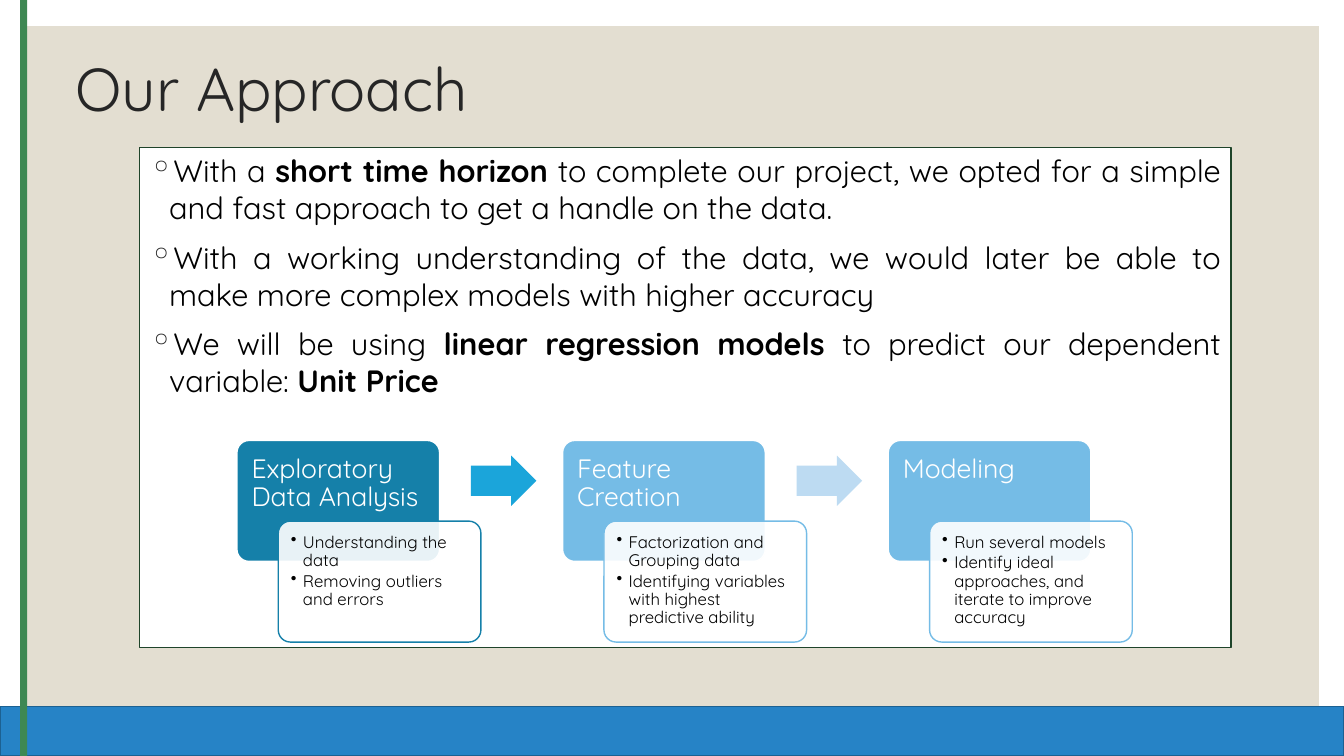
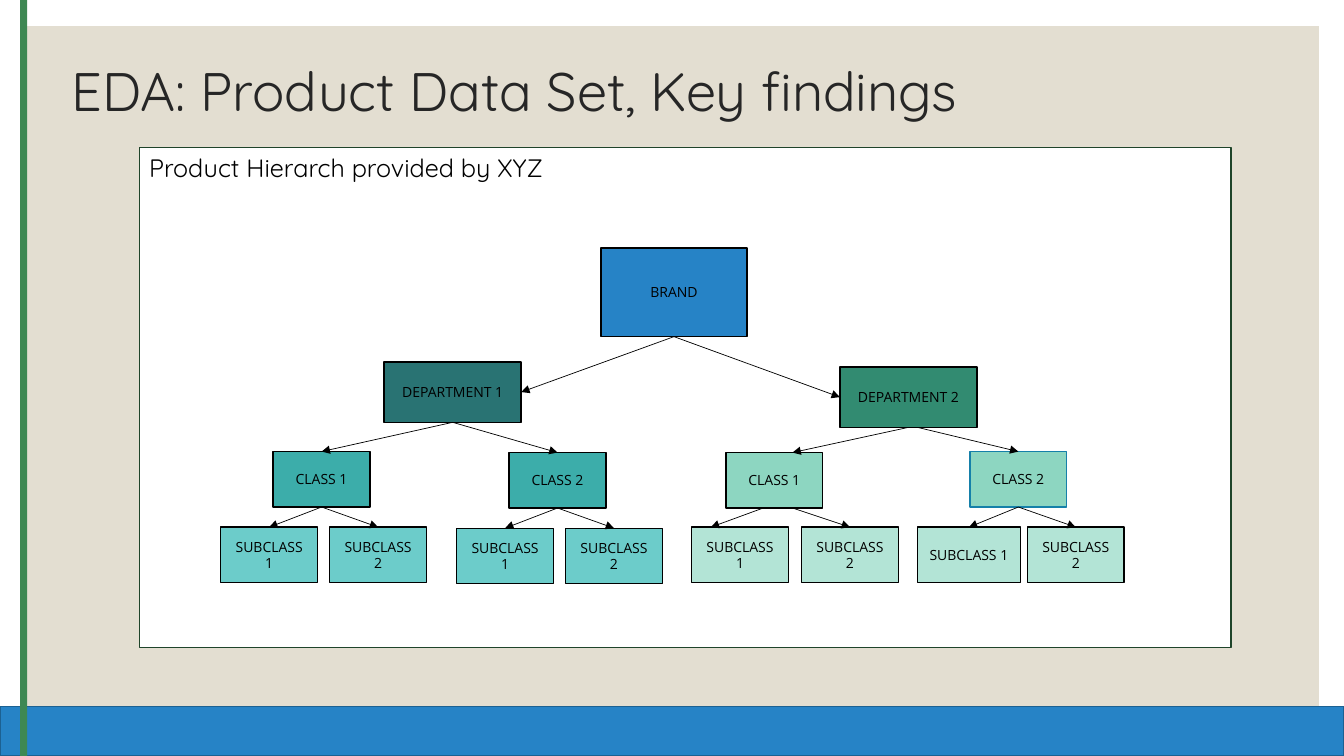
from dataclasses import dataclass

from lxml import etree
from pptx import Presentation
from pptx import util as u
from pptx.dml import color
from pptx.enum import shapes, text
from pptx.oxml import ns

HEADING_FONT = "Quicksand"
NODE_FONT = "Open Sans"
BLACK, WHITE, INK = "000000", "FFFFFF", "262626"
BLUE, TEAL, SKY = "2683C6", "1580A9", "75BCE6"
RECTANGLE = shapes.MSO_SHAPE.RECTANGLE
ROUNDED = shapes.MSO_SHAPE.ROUNDED_RECTANGLE
ARROW = shapes.MSO_SHAPE.RIGHT_ARROW
LEFT, CENTER, JUSTIFY = text.PP_ALIGN.LEFT, text.PP_ALIGN.CENTER, text.PP_ALIGN.JUSTIFY
TOP, MIDDLE = text.MSO_ANCHOR.TOP, text.MSO_ANCHOR.MIDDLE


@dataclass(frozen=True)
class Frame:
    left: float
    top: float
    width: float
    height: float

    @property
    def center(self) -> float:
        return self.left + self.width / 2

    @property
    def middle(self) -> float:
        return self.top + self.height / 2

    @property
    def bottom(self) -> float:
        return self.top + self.height

    @property
    def right(self) -> float:
        return self.left + self.width

    def lengths(self) -> tuple:
        return tuple(u.Inches(n) for n in (self.left, self.top, self.width, self.height))


@dataclass(frozen=True)
class Band:
    frame: Frame
    fill: str
    line: str | None = None


@dataclass(frozen=True)
class Style:
    size: float
    color: str = BLACK
    font: str = HEADING_FONT
    align: text.PP_ALIGN = LEFT
    line_spacing: float = 1.0
    before: float = 0
    after: float = 0
    bullet: str = ""
    bullet_color: str = BLACK
    indent: float = 0


@dataclass(frozen=True)
class Step:
    title: str
    details: tuple[str, ...]
    color: str
    arrow: str | None = None


@dataclass(frozen=True)
class Node:
    label: str
    frame: Frame
    fill: str
    children: tuple["Node", ...] = ()
    line: str = BLACK
    enters_side: bool = False
    start_shift: float = 0
    end_shift: float = 0


BANDS = (
    Band(Frame(0.26, 0.26, 12.82, 6.98), "E3DED1"),
    Band(Frame(0, 7.01, 13.33, 0.49), BLUE, "1C6192"),
    Band(Frame(0.2, 0, 0.07, 7.5), "3E8853"),
)
PANEL = Frame(1.38, 1.46, 10.83, 4.96)
APPROACH = Style(22, align=JUSTIFY, before=9, bullet="\u25e6", bullet_color=INK, indent=0.2)
CAPTION = Style(18, before=9)
STEP_TITLE = Style(19, WHITE, line_spacing=0.9)
STEP_DETAIL = Style(12, line_spacing=0.9, after=1.8, bullet="\u2022", indent=0.12)
NODE_LABEL = Style(10, font=NODE_FONT, align=CENTER)


def rgb(value: str) -> color.RGBColor:
    return color.RGBColor.from_string(value)


def add_box(slide, kind, frame: Frame, fill: str, line: str | None = None,
            line_width: float = 1):
    shape = slide.shapes.add_shape(kind, *frame.lengths())
    shape.shadow.inherit = False
    shape.fill.solid()
    shape.fill.fore_color.rgb = rgb(fill)
    if line:
        shape.line.color.rgb = rgb(line)
        shape.line.width = u.Pt(line_width)
    else:
        shape.line.fill.background()
    return shape


def set_opacity(shape, percent: int) -> None:
    fill = shape.fill._xPr.find(ns.qn("a:solidFill"))
    etree.SubElement(fill[0], ns.qn("a:alpha")).set("val", str(percent * 1000))


def add_bullet(paragraph, style: Style) -> None:
    properties = paragraph._p.get_or_add_pPr()
    properties.set("marL", str(u.Inches(style.indent)))
    properties.set("indent", str(-u.Inches(style.indent)))
    tint = etree.SubElement(properties, ns.qn("a:buClr"))
    etree.SubElement(tint, ns.qn("a:srgbClr")).set("val", style.bullet_color)
    etree.SubElement(properties, ns.qn("a:buChar")).set("char", style.bullet)


def write(shape, lines: tuple[str, ...], style: Style, anchor=TOP,
          inset_x: float = 0.1, inset_y: float = 0.05) -> None:
    frame = shape.text_frame
    frame.word_wrap = True
    frame.vertical_anchor = anchor
    frame.margin_left = frame.margin_right = u.Inches(inset_x)
    frame.margin_top = frame.margin_bottom = u.Inches(inset_y)
    for index, line in enumerate(lines):
        paragraph = frame.add_paragraph() if index else frame.paragraphs[0]
        if style.bullet:
            add_bullet(paragraph, style)
        paragraph.alignment = style.align
        paragraph.line_spacing = style.line_spacing
        paragraph.space_before = u.Pt(style.before)
        paragraph.space_after = u.Pt(style.after)
        paragraph.font.size = u.Pt(style.size)
        paragraph.font.name = style.font
        paragraph.font.color.rgb = rgb(style.color)
        for position, part in enumerate(line.split("**")):
            if part:
                run = paragraph.add_run()
                run.text = part
                if position % 2:
                    run.font.bold = True


def add_arrow(slide, start: tuple[float, float], end: tuple[float, float]) -> None:
    points = [u.Inches(n) for n in (*start, *end)]
    connector = slide.shapes.add_connector(shapes.MSO_CONNECTOR.STRAIGHT, *points)
    connector.line.color.rgb = rgb(BLACK)
    connector.line.width = u.Pt(0.5)
    line = connector.line._get_or_add_ln()
    etree.SubElement(line, ns.qn("a:tailEnd")).set("type", "triangle")
    etree.SubElement(connector._element.spPr, ns.qn("a:effectLst"))


def add_page(presentation, title: str, frame: Frame, size: float,
             body: tuple[str, ...], body_style: Style):
    slide = presentation.slides.add_slide(presentation.slide_layouts[6])
    for band in BANDS:
        add_box(slide, RECTANGLE, band.frame, band.fill, band.line)
    heading = slide.shapes.add_textbox(*frame.lengths())
    write(heading, (title,), Style(size, INK, line_spacing=0.9), MIDDLE)
    panel = add_box(slide, RECTANGLE, PANEL, WHITE, "1F442A", 0.75)
    write(panel, body, body_style)
    return slide


def add_step(slide, step: Step, left: float) -> None:
    top, width, height = 4.37, 2.01, 1.2
    card = add_box(slide, ROUNDED, Frame(left, top, width, height), step.color, WHITE)
    write(card, (step.title,), STEP_TITLE, inset_x=0.11, inset_y=0.11)
    details = add_box(slide, ROUNDED, Frame(left + 0.41, top + 0.8, width, height),
                      WHITE, step.color)
    set_opacity(details, 90)
    write(details, step.details, STEP_DETAIL, inset_x=0.09, inset_y=0.09)
    for shape in (card, details):
        shape.adjustments[0] = 0.1
    if step.arrow:
        arrow = add_box(slide, ARROW, Frame(left + 2.32, top + 0.15, 0.65, 0.5), step.arrow)
        arrow.adjustments[0] = 0.6
        arrow.adjustments[1] = 0.5


def add_tree(slide, node: Node) -> None:
    box = add_box(slide, RECTANGLE, node.frame, node.fill, node.line)
    write(box, (node.label,), NODE_LABEL, MIDDLE)
    for child in node.children:
        add_tree(slide, child)
        start = (node.frame.center + child.start_shift, node.frame.bottom)
        target = child.frame
        if child.enters_side:
            side = target.right if target.center < node.frame.center else target.left
            end = (side, target.middle)
        else:
            end = (target.center + child.end_shift, target.top)
        add_arrow(slide, start, end)


def small(label: str, left: float, top: float, fill: str, width: float = 0.96,
          **options) -> Node:
    return Node(label, Frame(left, top, width, 0.55), fill, **options)


def department(label: str, left: float, top: float, fill: str,
               children: tuple[Node, ...]) -> Node:
    return Node(label, Frame(left, top, 1.36, 0.6), fill, children, enters_side=True)


STEPS = (
    Step("Exploratory Data Analysis",
         ("Understanding the data", "Removing outliers and errors"), TEAL, "1BA5DA"),
    Step("Feature Creation",
         ("Factorization and Grouping data",
          "Identifying variables with highest predictive ability"), SKY, "BDDBF2"),
    Step("Modeling",
         ("Run several models",
          "Identify ideal approaches, and iterate to improve accuracy"), SKY),
)

CLASS_TEAL, SUB_TEAL = "3CADAA", "6CCCCA"
CLASS_MINT, SUB_MINT = "8DD6C1", "B3E4D6"
HIERARCHY = Node("BRAND", Frame(5.96, 2.46, 1.45, 0.88), BLUE, (
    department("DEPARTMENT 1", 3.81, 3.59, "297373", (
        small("CLASS 1", 2.71, 4.48, CLASS_TEAL, children=(
            small("SUBCLASS 1", 2.19, 5.23, SUB_TEAL),
            small("SUBCLASS 2", 3.27, 5.23, SUB_TEAL))),
        small("CLASS 2", 5.05, 4.49, CLASS_TEAL, children=(
            small("SUBCLASS 1", 4.53, 5.24, SUB_TEAL),
            small("SUBCLASS 2", 5.61, 5.24, SUB_TEAL))))),
    department("DEPARTMENT 2", 8.33, 3.64, "328B71", (
        small("CLASS 1", 7.2, 4.49, CLASS_MINT, end_shift=0.18, children=(
            small("SUBCLASS 1", 6.86, 5.23, SUB_MINT, start_shift=-0.11, end_shift=-0.29),
            small("SUBCLASS 2", 7.95, 5.23, SUB_MINT, start_shift=0.18))),
        small("CLASS 2", 9.62, 4.48, CLASS_MINT, line=TEAL, start_shift=0.09, children=(
            small("SUBCLASS 1", 9.1, 5.23, SUB_MINT, 1.02),
            small("SUBCLASS 2", 10.19, 5.23, SUB_MINT))))),
))


def build_approach(presentation) -> None:
    slide = add_page(presentation, "Our Approach", Frame(0.65, 0.61, 10.29, 0.61), 43.2, (
        "With a **short time horizon **to complete our project, we opted for a simple "
        "and fast approach to get a handle on the data.",
        "With a working understanding of the data, we would later be able to make "
        "more complex models with higher accuracy",
        "We will be using **linear regression models **to predict our dependent "
        "variable: **Unit Price",
    ), APPROACH)
    for index, step in enumerate(STEPS):
        add_step(slide, step, 2.35 + 3.23 * index)


def build_hierarchy(presentation) -> None:
    slide = add_page(presentation, "EDA: Product Data Set, Key findings",
                     Frame(0.61, 0.45, 10.29, 0.97), 38.7,
                     ("Product Hierarch provided by XYZ",), CAPTION)
    add_tree(slide, HIERARCHY)


def main() -> None:
    presentation = Presentation()
    presentation.slide_width = u.Inches(13.33)
    presentation.slide_height = u.Inches(7.5)
    build_approach(presentation)
    build_hierarchy(presentation)
    presentation.save("out.pptx")


main()
